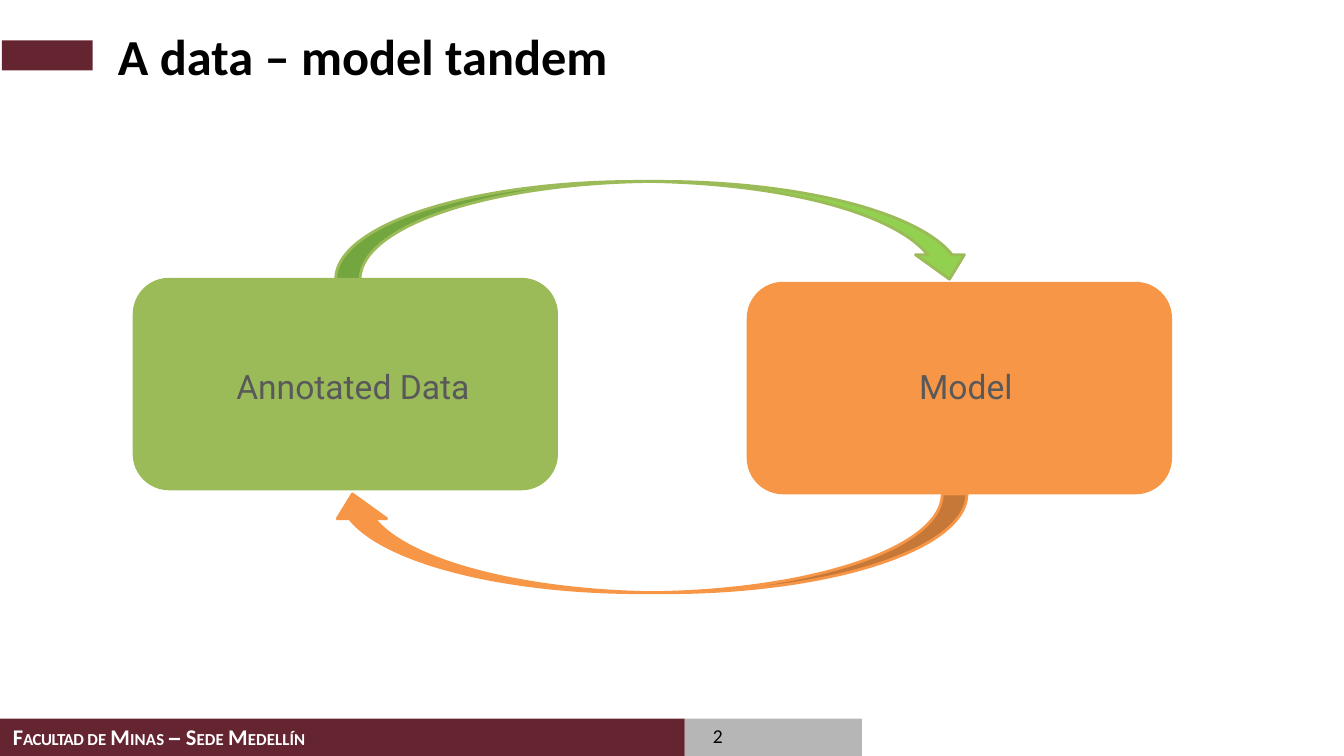
"""Build the slide on the tandem of annotated data and model."""
from lxml import etree
from pptx import Presentation
from pptx.dml.color import RGBColor
from pptx.enum.shapes import MSO_SHAPE
from pptx.enum.text import PP_ALIGN
from pptx.oxml.ns import qn
from pptx.util import Inches, Pt

RECTANGLE = MSO_SHAPE.RECTANGLE
ROUNDED = MSO_SHAPE.ROUNDED_RECTANGLE
CURVED_ARROW = MSO_SHAPE.CURVED_DOWN_ARROW
LEFT, CENTER = PP_ALIGN.LEFT, PP_ALIGN.CENTER

MAROON = RGBColor(0x64, 0x25, 0x31)
GRAY = RGBColor(0x7E, 0x7E, 0x7E)
ORANGE = RGBColor(0xF7, 0x96, 0x46)
GREEN = RGBColor(0x9B, 0xBB, 0x59)
BRIGHT_GREEN = RGBColor(0x92, 0xD0, 0x50)
LABEL_GRAY = RGBColor(0x59, 0x59, 0x59)
BLACK = RGBColor(0, 0, 0)
WHITE = RGBColor(0xFF, 0xFF, 0xFF)

FOOTER_RUNS = [
    ("F", 16, "Calibri", -0.3),
    ("ACULTAD ", 12, "Calibri", -0.3),
    ("DE ", 12, "Calibri", 0.1),
    ("M", 16, "Calibri", 0.1),
    ("INAS ", 12, "Calibri", 0.1),
    ("– ", 16, "Arial", -0.8),
    ("S", 16, "Calibri", 0.1),
    ("EDE ", 12, "Calibri", 0.1),
    ("M", 16, "Calibri", 0.1),
    ("EDELLÍN", 12, "Calibri", 0.1),
]


def add_filled_shape(slide, kind, box, fill, line=None):
    """Add a shape with a solid fill and an optional 2 pt outline."""
    shape = slide.shapes.add_shape(kind, *map(Inches, box))
    shape.shadow.inherit = False
    shape.fill.solid()
    shape.fill.fore_color.rgb = fill
    if line is None:
        shape.line.fill.background()
    else:
        shape.line.color.rgb = line
        shape.line.width = Pt(2)
    return shape


def set_opacity(shape, percent):
    """Make the solid fill of a shape partly transparent."""
    color = shape._element.spPr.find(qn("a:solidFill"))[0]
    etree.SubElement(color, qn("a:alpha")).set("val", str(percent * 1000))


def add_text_box(slide, box, insets=(0, 0), wrap=True):
    """Add a text box and return its first paragraph."""
    frame = slide.shapes.add_textbox(*map(Inches, box)).text_frame
    frame.word_wrap = wrap
    frame.margin_left = frame.margin_right = Inches(insets[0])
    frame.margin_top = frame.margin_bottom = Inches(insets[1])
    return frame.paragraphs[0]


def write(paragraph, text, size, color, name="Calibri", bold=False, align=LEFT):
    """Fill a paragraph with text in one style."""
    paragraph.text = text
    paragraph.alignment = align
    font = paragraph.font
    font.size, font.name, font.bold = Pt(size), name, bold
    font.color.rgb = color


def add_footer_name(slide):
    """Write the faculty name in large and small capitals."""
    paragraph = add_text_box(slide, (0.03, 7.19, 3.27, 0.31), (0.1, 0.05), wrap=False)
    paragraph.line_spacing = Pt(14.3)
    paragraph.font.bold = True
    paragraph.font.color.rgb = WHITE
    for text, size, name, spacing in FOOTER_RUNS:
        run = paragraph.add_run()
        run.text = text
        run.font.size, run.font.name = Pt(size), name
        run._r.get_or_add_rPr().set("spc", str(round(spacing * 100)))


def add_frame(slide):
    """Add the title, its accent bar and the footer."""
    page_bar = add_filled_shape(slide, RECTANGLE, (6.79, 7.13, 1.76, 0.37), GRAY)
    set_opacity(page_bar, 56)
    add_filled_shape(slide, RECTANGLE, (0, 7.13, 6.79, 0.37), MAROON)
    add_filled_shape(slide, RECTANGLE, (0.02, 0.4, 0.9, 0.3), MAROON)
    add_footer_name(slide)
    title = add_text_box(slide, (1.17, 0.25, 7.98, 0.61))
    write(title, "A data – model tandem", 36, BLACK, bold=True)
    page_number = add_text_box(slide, (7.07, 7.22, 0.24, 0.22))
    page_number.line_spacing = Pt(14.3)
    write(page_number, "2", 14, BLACK)


def add_label(slide, left, text):
    """Add a centred label over a card."""
    paragraph = add_text_box(slide, (left, 3.58, 3, 0.5), (0.1, 0.05))
    write(paragraph, text, 24, LABEL_GRAY, "Roboto", align=CENTER)


def main():
    """Build and save the slide."""
    presentation = Presentation()
    presentation.slide_width = Inches(13.33)
    presentation.slide_height = Inches(7.5)
    slide = presentation.slides.add_slide(presentation.slide_layouts[6])
    add_frame(slide)
    add_filled_shape(slide, ROUNDED, (7.42, 2.81, 4.19, 2.08), ORANGE, ORANGE)
    add_filled_shape(slide, ROUNDED, (1.33, 2.77, 4.19, 2.08), GREEN, GREEN)
    add_filled_shape(slide, CURVED_ARROW, (3.33, 1.8, 6.33, 0.97), BRIGHT_GREEN, GREEN)
    return_arrow = add_filled_shape(
        slide, CURVED_ARROW, (3.25, 4.9, 6.34, 0.98), ORANGE, ORANGE)
    return_arrow.rotation = 180
    add_label(slide, 2, "Annotated Data")
    add_label(slide, 8.08, "Model")
    presentation.save("out.pptx")


if __name__ == "__main__":
    main()
